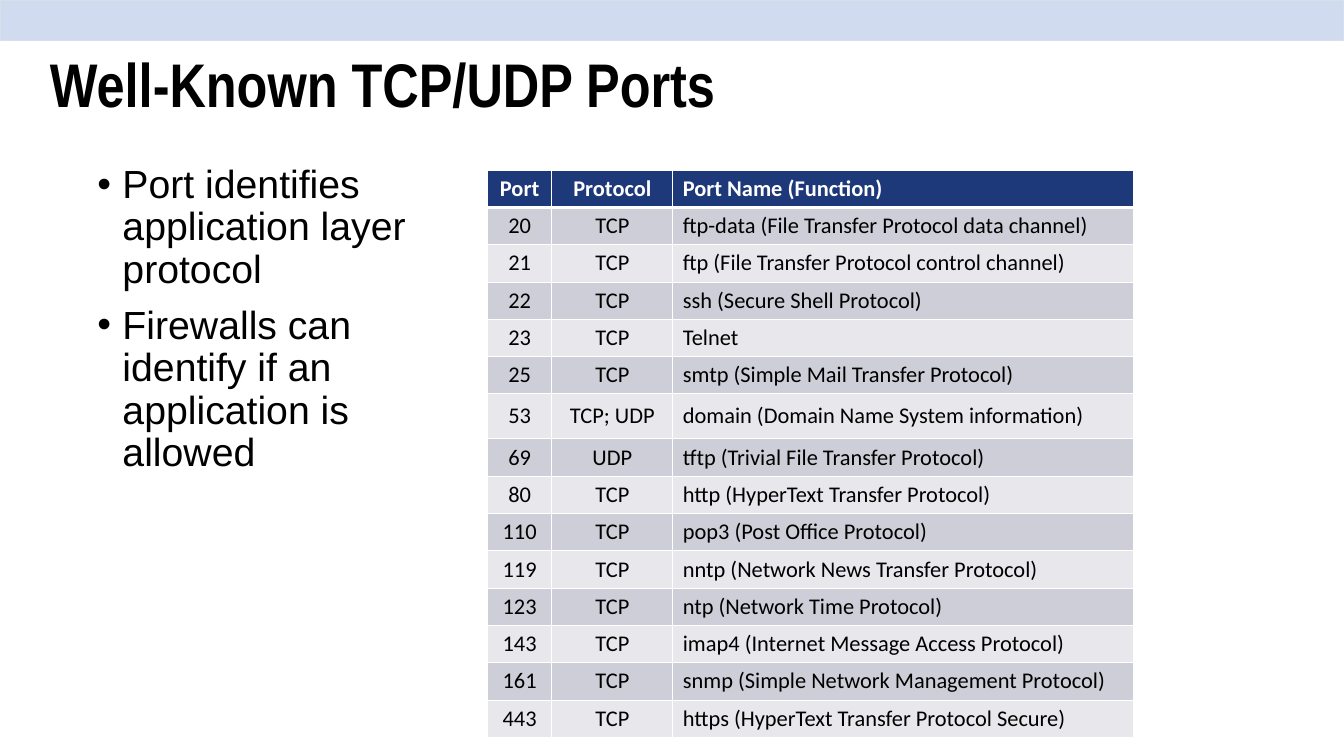
"""Builds the slide on well-known TCP/UDP ports."""
from lxml.etree import SubElement
from pptx import Presentation
from pptx.dml.color import RGBColor
from pptx.enum.shapes import MSO_SHAPE
from pptx.enum.text import MSO_ANCHOR, MSO_AUTO_SIZE, PP_ALIGN
from pptx.oxml.ns import qn
from pptx.util import Cm, Pt

COLORS = {
    "band": "D1DBF0", "band_line": "D9DEEA", "text": "000000", "white": "FFFFFF",
    "header": "1D397A", "odd": "CDCED7", "even": "E8E8EC",
}
POINTS = [
    "Port identifies\vapplication layer\vprotocol",
    "Firewalls can\videntify if an\vapplication is\vallowed",
]
PORTS = [
    ("Port", "Protocol", "Port Name (Function)"),
    ("20", "TCP", "ftp-data (File Transfer Protocol data channel)"),
    ("21", "TCP", "ftp (File Transfer Protocol control channel)"),
    ("22", "TCP", "ssh (Secure Shell Protocol)"),
    ("23", "TCP", "Telnet"),
    ("25", "TCP", "smtp (Simple Mail Transfer Protocol)"),
    ("53", "TCP; UDP", "domain (Domain Name System information)"),
    ("69", "UDP", "tftp (Trivial File Transfer Protocol)"),
    ("80", "TCP", "http (HyperText Transfer Protocol)"),
    ("110", "TCP", "pop3 (Post Office Protocol)"),
    ("119", "TCP", "nntp (Network News Transfer Protocol)"),
    ("123", "TCP", "ntp (Network Time Protocol)"),
    ("143", "TCP", "imap4 (Internet Message Access Protocol)"),
    ("161", "TCP", "snmp (Simple Network Management Protocol)"),
    ("443", "TCP", "https (HyperText Transfer Protocol Secure)"),
]
COLUMN_WIDTHS = [2.44, 4.57, 17.42]
ROW_HEIGHT, DOMAIN_ROW_HEIGHT = 1.41, 1.7


def style_runs(paragraph, font_name, size, color, bold=False):
    for run in paragraph.runs:
        run.font.name = font_name
        run.font.size = Pt(size)
        run.font.bold = bold
        run.font.color.rgb = RGBColor.from_string(COLORS[color])


def add_border(cell, side, width):
    line = SubElement(cell._tc.get_or_add_tcPr(), qn(f"a:ln{side}"), w=str(Pt(width)))
    fill = SubElement(line, qn("a:solidFill"))
    SubElement(fill, qn("a:srgbClr"), val=COLORS["white"])


prs = Presentation()
prs.slide_width, prs.slide_height = Cm(50.8), Cm(28.58)
slide = prs.slides.add_slide(prs.slide_layouts[5])

band = slide.shapes.add_shape(MSO_SHAPE.RECTANGLE, 0, 0, prs.slide_width, Cm(1.52))
band.shadow.inherit = False
band.fill.solid()
band.fill.fore_color.rgb = RGBColor.from_string(COLORS["band"])
band.line.color.rgb = RGBColor.from_string(COLORS["band_line"])
band.line.width = Pt(1)
slide.shapes._spTree.insert(2, band._element)

title = slide.shapes.title
title.left, title.top, title.width, title.height = Cm(1.63), Cm(0.56), Cm(43.82), Cm(5.51)
title.text_frame.text = "Well-Known TCP/UDP Ports"
title.text_frame.word_wrap = True
title.text_frame.auto_size = MSO_AUTO_SIZE.NONE
title.text_frame.vertical_anchor = MSO_ANCHOR.MIDDLE
heading = title.text_frame.paragraphs[0]
heading.alignment = PP_ALIGN.LEFT
heading.line_spacing = 0.9
style_runs(heading, "Arial Narrow", 66, "text", bold=True)

body = slide.shapes.add_textbox(Cm(3.5), Cm(6.1), Cm(43.82), Cm(19.35)).text_frame
body.word_wrap = True
body.margin_left = Cm(0.18)
body.text = "\n".join(POINTS)
for index, point in enumerate(body.paragraphs):
    point.line_spacing = 0.9
    point.space_before = Pt(15 if index else 0)
    properties = point._p.get_or_add_pPr()
    properties.set("marL", str(Cm(0.95)))
    properties.set("indent", str(-Cm(0.95)))
    SubElement(properties, qn("a:buFont"), typeface="Arial")
    SubElement(properties, qn("a:buChar"), char="•")
    for line_break in point._p.findall(qn("a:br")):
        SubElement(line_break, qn("a:rPr"), sz="4400")
    style_runs(point, "Arial", 42, "text")

table_height = ROW_HEIGHT * (len(PORTS) - 1) + DOMAIN_ROW_HEIGHT
ports = slide.shapes.add_table(
    len(PORTS), len(COLUMN_WIDTHS), Cm(18.42), Cm(6.43),
    Cm(sum(COLUMN_WIDTHS)), Cm(table_height),
).table
ports.horz_banding = False
for column, width in zip(ports.columns, COLUMN_WIDTHS):
    column.width = Cm(width)

for row, entry in enumerate(PORTS):
    is_header = row == 0
    ports.rows[row].height = Cm(DOMAIN_ROW_HEIGHT if entry[0] == "53" else ROW_HEIGHT)
    row_fill = "header" if is_header else "odd" if row % 2 else "even"
    for column, wording in enumerate(entry):
        cell = ports.cell(row, column)
        cell.text_frame.text = wording
        cell.vertical_anchor = MSO_ANCHOR.MIDDLE
        cell.margin_left = cell.margin_right = Cm(0.38)
        cell.margin_top = cell.margin_bottom = Cm(0.19)
        for side in "LRTB":
            under_header = (row, side) in [(0, "B"), (1, "T")]
            add_border(cell, side, 3 if under_header else 1)
        cell.fill.solid()
        cell.fill.fore_color.rgb = RGBColor.from_string(COLORS[row_fill])
        label = cell.text_frame.paragraphs[0]
        label.alignment = PP_ALIGN.LEFT if column == 2 else PP_ALIGN.CENTER
        style_runs(label, "Calibri", 24, "white" if is_header else "text", is_header)

prs.save("out.pptx")
